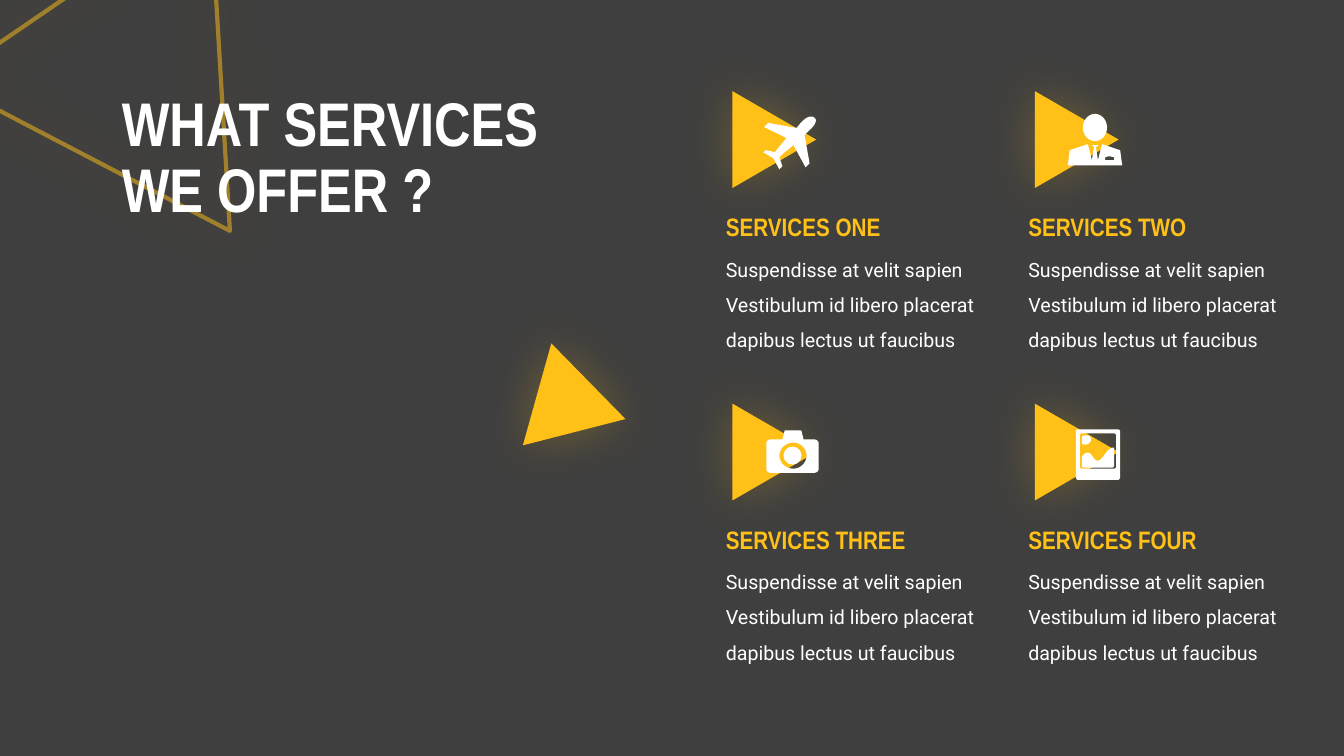
from lxml.etree import SubElement
from pptx import Presentation
from pptx.dml.color import RGBColor
from pptx.enum.shapes import MSO_SHAPE
from pptx.enum.text import MSO_ANCHOR, MSO_AUTO_SIZE
from pptx.oxml.ns import qn
from pptx.util import Pt

PX = 9144
FINE = 10
STEPS = 8
DARK = RGBColor(0x3F, 0x3F, 0x3F)
GOLD = RGBColor(0xFF, 0xC1, 0x18)
WHITE = RGBColor(0xFF, 0xFF, 0xFF)

TITLE = {"name": "Arial Narrow", "size": Pt(44), "bold": True}
HEAD = {"name": "Arial Narrow", "size": Pt(18), "bold": True}
BODY = {"name": "Roboto", "size": Pt(14), "bold": False}
GROW = {"auto_size": MSO_AUTO_SIZE.SHAPE_TO_FIT_TEXT}
MIDDLE = {"vertical_anchor": MSO_ANCHOR.MIDDLE}

BLURB = ("Suspendisse at velit sapien Vestibulum id libero placerat "
         "dapibus lectus ut faucibus")

PLANE = [[
    (98, 20), (95, 17, 90, 19, 85, 24), (80, 30), (52, 25), (48, 29),
    (70, 40), (61, 51), (60, 52, 59, 53, 59, 54), (50, 52), (47, 54),
    (57, 60), (63, 71), (66, 68), (63, 59), (64, 58, 65, 57, 66, 56),
    (77, 47), (89, 69), (93, 65), (88, 37), (93, 32),
    (98, 28, 101, 22, 98, 20)]]
SUIT = [
    [(101, 52), (83, 46), (79, 62), (77, 49), (78, 48), (80, 47), (73, 47),
     (74, 48), (75, 49), (73, 62), (69, 46), (51, 52), (49, 67), (103, 67)],
    [(95, 62), (86, 62), (86, 59), (90, 58), (95, 59)]]
CAMERA = [
    [(98, 29), (87, 29), (85, 21), (85, 20, 84, 20, 84, 20), (69, 20),
     (69, 20, 68, 20, 68, 21), (66, 29), (54, 29), (52, 29, 50, 31, 50, 33),
     (50, 58), (50, 60, 52, 62, 54, 62), (98, 62),
     (100, 62, 102, 60, 102, 58), (102, 33), (102, 31, 100, 29, 98, 29)],
    [(77, 58), (69, 58, 63, 52, 63, 45), (63, 38, 69, 32, 77, 32),
     (84, 32, 90, 38, 90, 45), (90, 52, 84, 58, 77, 58)]]
HILL = [[
    (95, 37), (88, 36, 84, 50, 79, 50), (75, 51, 73, 42, 69, 42),
    (67, 42, 64, 44, 63, 46), (63, 55), (63, 56, 64, 57, 65, 57), (93, 57),
    (94, 57, 95, 56, 95, 55)]]
SUN = [[
    (72, 29), (72, 27, 71, 25, 69, 25), (65, 25), (64, 25, 63, 26, 63, 27),
    (63, 33), (64, 34, 65, 34, 67, 34), (69, 34, 72, 32, 72, 29)]]
FRAME = [
    [(99, 19), (59, 19), (58, 19, 57, 20, 57, 21), (57, 66),
     (57, 68, 58, 69, 59, 69), (99, 69), (100, 69, 101, 68, 101, 66),
     (101, 21), (101, 20, 100, 19, 99, 19)],
    [(97, 37), (97, 56), (97, 57, 96, 58, 95, 58), (63, 58),
     (62, 58, 61, 57, 61, 56), (61, 25), (61, 24, 62, 23, 63, 23), (95, 23),
     (96, 23, 97, 24, 97, 25)]]

ITEMS = [
    ("SERVICES ONE", [PLANE], None),
    ("SERVICES TWO", [SUIT], (64, 16, 24, 27)),
    ("SERVICES THREE", [CAMERA], (67, 36, 18, 18)),
    ("SERVICES FOUR", [HILL, SUN, FRAME], None),
]


def scale(*nums):
    return [round(num * PX) for num in nums]


def assign(target, values):
    for name, value in values.items():
        setattr(target, name, value)


def paint(shape, color):
    shape.shadow.inherit = False
    shape.fill.solid()
    shape.fill.fore_color.rgb = color
    shape.line.fill.background()


def glow(shape):
    shape.shadow.inherit = False
    effects = shape._element.spPr.find(qn("a:effectLst"))
    shade = SubElement(effects, qn("a:outerShdw"), blurRad=str(Pt(35)),
                       dist="0", dir="0", algn="ctr", rotWithShape="0")
    tint = SubElement(shade, qn("a:srgbClr"), val=str(GOLD))
    SubElement(tint, qn("a:alpha"), val="25000")


def wedge(slide, box, turn):
    shape = slide.shapes.add_shape(MSO_SHAPE.ISOSCELES_TRIANGLE, *scale(*box))
    shape.rotation = turn
    paint(shape, GOLD)
    glow(shape)
    return shape


def write(slide, box, text, font, color, space, frame):
    area = slide.shapes.add_textbox(*scale(*box)).text_frame
    assign(area, {"word_wrap": True, **frame})
    para = area.paragraphs[0]
    para.text = text
    para.line_spacing = space
    assign(para.font, font)
    para.font.color.rgb = color


def flatten(steps):
    points = [steps[0]]
    for step in steps[1:]:
        if len(step) == 2:
            points.append(step)
            continue
        ends = list(zip(points[-1], step[:2], step[2:4], step[4:]))
        for part in range(1, STEPS + 1):
            t = part / STEPS
            u = 1 - t
            points.append(tuple(
                a * u ** 3 + 3 * b * u * u * t + 3 * c * u * t * t + d * t ** 3
                for a, b, c, d in ends))
    return [(x * FINE, y * FINE) for x, y in points]


def trace(group, left, top, loops):
    first, *holes = [flatten(loop) for loop in loops]
    pen = group.shapes.build_freeform(*first[0], scale=PX / FINE)
    pen.add_line_segments(first[1:], close=True)
    for hole in holes:
        pen.move_to(*hole[0])
        pen.add_line_segments(hole[1:], close=True)
    paint(pen.convert_to_shape(*scale(left, top)), WHITE)


def icon(slide, left, top, parts, disc):
    group = slide.shapes.add_group_shape()
    for loops in parts:
        trace(group, left, top, loops)
    if disc:
        x, y, wide, high = disc
        paint(group.shapes.add_shape(
            MSO_SHAPE.OVAL, *scale(left + x, top + y, wide, high)), WHITE)


def service(slide, left, top, name, parts, disc):
    wedge(slide, (left + 10, top, 96, 83), 90)
    write(slide, (left, top + 142, 281, 112), BLURB, BODY, WHITE, 1.5, GROW)
    write(slide, (left, top + 108, 245, 40), name, HEAD, GOLD, 1.0, GROW)
    icon(slide, left, top, parts, disc)


def grid(slide, left, top, across, down):
    for place, item in enumerate(ITEMS):
        row, col = divmod(place, 2)
        service(slide, left + col * across, top + row * down, *item)


def banner(slide, left, top):
    corner = wedge(slide, (left - 195, top - 144, 330, 275), 266.6)
    corner.fill.background()
    corner.line.width = Pt(3)
    corner.line.color.rgb = GOLD
    tint = corner.line._ln.find(".//" + qn("a:srgbClr"))
    SubElement(tint, qn("a:alpha"), val="50000")
    write(slide, (left, top, 562, 158), "WHAT SERVICES\vWE OFFER ?",
          TITLE, WHITE, 0.9, MIDDLE)


def main():
    deck = Presentation()
    deck.slide_width, deck.slide_height = scale(1333, 750)
    slide = deck.slides.add_slide(deck.slide_layouts[6])
    slide.background.fill.solid()
    slide.background.fill.fore_color.rgb = DARK
    banner(slide, 111, 79)
    grid(slide, 710, 97, 300, 310)
    wedge(slide, (524, 358, 105, 91), 105.6)
    deck.save("out.pptx")


if __name__ == "__main__":
    main()
